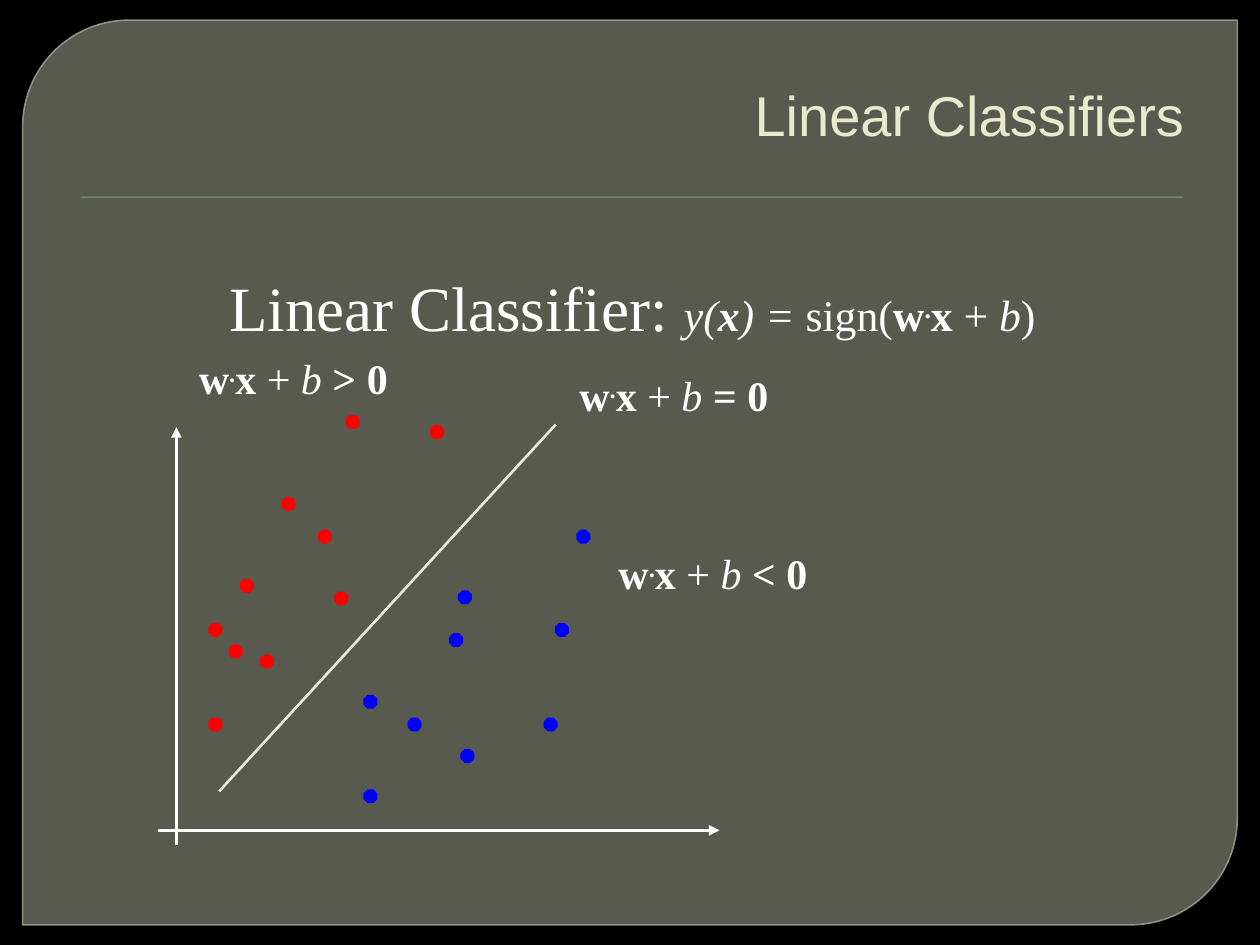
from pptx import Presentation
from pptx.dml.color import RGBColor
from pptx.enum.shapes import MSO_CONNECTOR, MSO_SHAPE
from pptx.enum.text import MSO_ANCHOR, PP_ALIGN
from pptx.oxml.ns import qn
from pptx.util import Inches, Pt
from lxml import etree

STRAIGHT = MSO_CONNECTOR.STRAIGHT
OCTAGON = MSO_SHAPE.OCTAGON
RECTANGLE = MSO_SHAPE.RECTANGLE
PANEL = MSO_SHAPE.ROUND_2_DIAG_RECTANGLE
MIDDLE = MSO_ANCHOR.MIDDLE
RIGHT = PP_ALIGN.RIGHT
SERIF = "Times New Roman"
WHITE = "FFFFFF"

presentation = Presentation()
presentation.slide_width = Inches(10)
presentation.slide_height = Inches(7.5)
column = presentation.slide_width / 100
row = presentation.slide_height / 75
slide = presentation.slides.add_slide(presentation.slide_layouts[6])


def color(value):
    return RGBColor.from_string(value)


def cells(left, top, width, height):
    return [round(left * column), round(top * row), round(width * column), round(height * row)]


slide.background.fill.solid()
slide.background.fill.fore_color.rgb = color("000000")

panel = slide.shapes.add_shape(PANEL, *cells(1.8, 1.6, 96.4, 71.8))
panel.adjustments[0] = 0.118
panel.adjustments[1] = 0
panel.shadow.inherit = False
panel.fill.solid()
panel.fill.fore_color.rgb = color("888B7B")
panel.line.color.rgb = color("9DA090")
panel.line.width = Pt(0.87)
fills = panel._element.spPr.iter(qn("a:srgbClr"))
for fill_color, opacity in zip(list(fills), ("65000", "88000")):
    etree.SubElement(fill_color, qn("a:alpha")).set("val", opacity)

rule = slide.shapes.add_shape(RECTANGLE, *cells(6.4, 15.6, 87.5, 0.1))
rule.shadow.inherit = False
rule.fill.solid()
rule.fill.fore_color.rgb = color("72A376")
rule.line.fill.background()

title = slide.shapes.add_textbox(*cells(5, 2.8, 90, 12.5))
title.text_frame.word_wrap = True
title.text_frame.vertical_anchor = MIDDLE
paragraph = title.text_frame.paragraphs[0]
paragraph.text = "Linear Classifiers"
paragraph.alignment = RIGHT
paragraph.font.name = "Arial"
paragraph.font.size = Pt(32)
paragraph.font.color.rgb = color("E7EACB")

axes_and_boundary = [
    (14, 67.1, 14, 33.9, WHITE, 2, True),
    (12.5, 65.9, 57.1, 65.9, WHITE, 2, True),
    (17.4, 62.8, 44.1, 33.7, "EAEBDE", 1.5, False),
]
for start_x, start_y, end_x, end_y, line_color, width, has_arrow in axes_and_boundary:
    connector = slide.shapes.add_connector(STRAIGHT, *cells(start_x, start_y, end_x, end_y))
    connector.line.color.rgb = color(line_color)
    connector.line.width = Pt(width)
    if has_arrow:
        etree.SubElement(connector.line._get_or_add_ln(), qn("a:tailEnd")).set("type", "triangle")
    etree.SubElement(connector._element.spPr, qn("a:effectLst"))

classes = {
    "FF0000": [(25.3, 42.1), (19.1, 46), (20.7, 52), (16.6, 57), (22.4, 39.5),
               (16.6, 49.5), (18.2, 51.2), (26.6, 47), (27.5, 33), (34.2, 33.8)],
    "0000FF": [(36.4, 46.9), (32.4, 57), (43.2, 57), (28.9, 62.7), (35.7, 50.3),
               (28.9, 55.2), (36.6, 59.5), (44.1, 49.5), (45.8, 42.1)],
}
for dot_color, points in classes.items():
    for left, top in points:
        dot = slide.shapes.add_shape(OCTAGON, *cells(left, top, 1, 1))
        dot.shadow.inherit = False
        dot.fill.solid()
        dot.fill.fore_color.rgb = color(dot_color)
        dot.line.color.rgb = color(dot_color)
        dot.line.width = Pt(0.75)

product = [("w", "bold"), (".", "bold raised"), ("x ", "bold"), ("+ ", ""), ("b", "italic")]
formula = [("Linear Classifier: ", "large"), ("y(", "italic"), ("x", "bold italic"),
           (") = ", "italic"), ("sign(", "")] + product + [(")", "")]
texts = [
    (17.2, 20.3, 75.5, 44.3, 25, 0.1, formula),
    (45, 28.8, 29.2, 5, 24, 0.05, product + [(" = 0", "bold")]),
    (48.1, 43, 29.2, 5, 24, 0.05, product + [(" < 0", "bold")]),
    (14.8, 27.5, 29.2, 5, 24, 0.05, product + [(" > 0", "bold")]),
]
for left, top, width, height, size, top_margin, pieces in texts:
    box = slide.shapes.add_textbox(*cells(left, top, width, height))
    box.text_frame.word_wrap = True
    box.text_frame.margin_top = Inches(top_margin)
    paragraph = box.text_frame.paragraphs[0]
    paragraph.font.name = SERIF
    paragraph.font.color.rgb = color(WHITE)
    for text, style in pieces:
        run = paragraph.add_run()
        run.text = text
        run.font.size = Pt(36 if "large" in style else size)
        run.font.bold = "bold" in style
        run.font.italic = "italic" in style
        if "raised" in style:
            run.font._element.set("baseline", "30000")

presentation.save("out.pptx")
